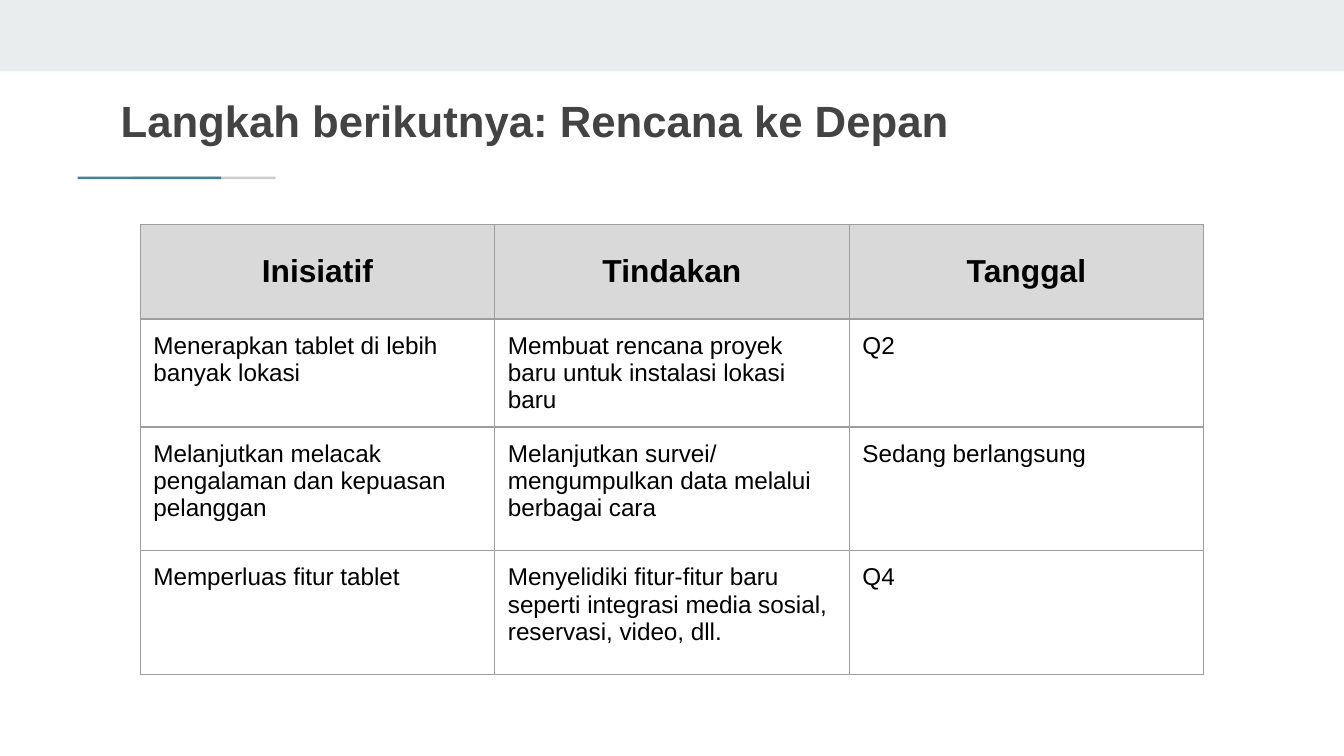
from lxml import etree
from pptx import Presentation
from pptx import util as u
from pptx.dml.color import RGBColor
from pptx.enum import shapes, text
from pptx.oxml import ns

COLORS = {
    "band": "E9EDEE",
    "teal": "45818E",
    "gray": "CCCCCC",
    "title": "434343",
    "header": "D9D9D9",
    "border": "9E9E9E",
    "ink": "000000",
}


def style_text(frame, size, color, bold, align):
    for para in frame.paragraphs:
        para.alignment = align
        para.font.name = "Arial"
        para.font.size = u.Pt(size)
        para.font.bold = bold
        para.font.color.rgb = RGBColor.from_string(COLORS[color])


def add_borders(cell):
    properties = cell._tc.get_or_add_tcPr()
    for index, side in enumerate(("lnL", "lnR", "lnT", "lnB")):
        line = etree.Element(ns.qn(f"a:{side}"), w=str(u.Pt(0.75)))
        fill = etree.SubElement(line, ns.qn("a:solidFill"))
        etree.SubElement(fill, ns.qn("a:srgbClr"), val=COLORS["border"])
        properties.insert(index, line)


deck = Presentation()
deck.slide_width = u.Cm(25.4)
deck.slide_height = u.Cm(14.29)
page = deck.slides.add_slide(deck.slide_layouts[6])

bars = [
    ("band", 0, 0, 25.4, 1.35),
    ("gray", 2.5, 3.34, 2.71, 0.05),
    ("teal", 1.47, 3.34, 2.71, 0.05),
]
for color, *place in bars:
    bar = page.shapes.add_shape(shapes.MSO_SHAPE.RECTANGLE, *map(u.Cm, place))
    bar.shadow.inherit = False
    bar.fill.solid()
    bar.fill.fore_color.rgb = RGBColor.from_string(COLORS[color])
    bar.line.fill.background()

title = page.shapes.add_textbox(u.Cm(2.03), u.Cm(1.52), u.Cm(21.36), u.Cm(1.5))
frame = title.text_frame
frame.word_wrap = True
frame.margin_left = frame.margin_right = u.Cm(0.25)
frame.margin_top = frame.margin_bottom = u.Cm(0.25)
frame.text = "Langkah berikutnya: Rencana ke Depan"
style_text(frame, 23.4, "title", True, text.PP_ALIGN.LEFT)

rows = [
    ("Inisiatif", "Tindakan", "Tanggal"),
    (
        "Menerapkan tablet di lebih banyak lokasi",
        "Membuat rencana proyek baru untuk instalasi lokasi baru",
        "Q2",
    ),
    (
        "Melanjutkan melacak pengalaman dan kepuasan pelanggan",
        "Melanjutkan survei/\nmengumpulkan data melalui berbagai cara",
        "Sedang berlangsung",
    ),
    (
        "Memperluas fitur tablet",
        "Menyelidiki fitur-fitur baru seperti integrasi media sosial, reservasi, video, dll.",
        "Q4",
    ),
]
heights = [1.79, 2.04, 2.34, 2.34]
column_width = 6.7
plan = page.shapes.add_table(
    len(rows), 3, u.Cm(2.65), u.Cm(4.24), u.Cm(3 * column_width), u.Cm(sum(heights))
).table
for column in plan.columns:
    column.width = u.Cm(column_width)

for row_index, (height, row) in enumerate(zip(heights, rows)):
    plan.rows[row_index].height = u.Cm(height)
    for column_index, wording in enumerate(row):
        cell = plan.cell(row_index, column_index)
        cell.margin_left = cell.margin_right = cell.margin_top = u.Cm(0.25)
        cell.text = wording
        if row_index == 0:
            cell.margin_bottom = u.Cm(0.25)
            cell.vertical_anchor = text.MSO_ANCHOR.MIDDLE
            cell.fill.solid()
            cell.fill.fore_color.rgb = RGBColor.from_string(COLORS["header"])
            style_text(cell.text_frame, 17, "ink", True, text.PP_ALIGN.CENTER)
        else:
            cell.margin_bottom = u.Cm(0.1)
            cell.vertical_anchor = text.MSO_ANCHOR.TOP
            cell.fill.background()
            style_text(cell.text_frame, 13, "ink", False, text.PP_ALIGN.LEFT)
        add_borders(cell)

deck.save("out.pptx")
